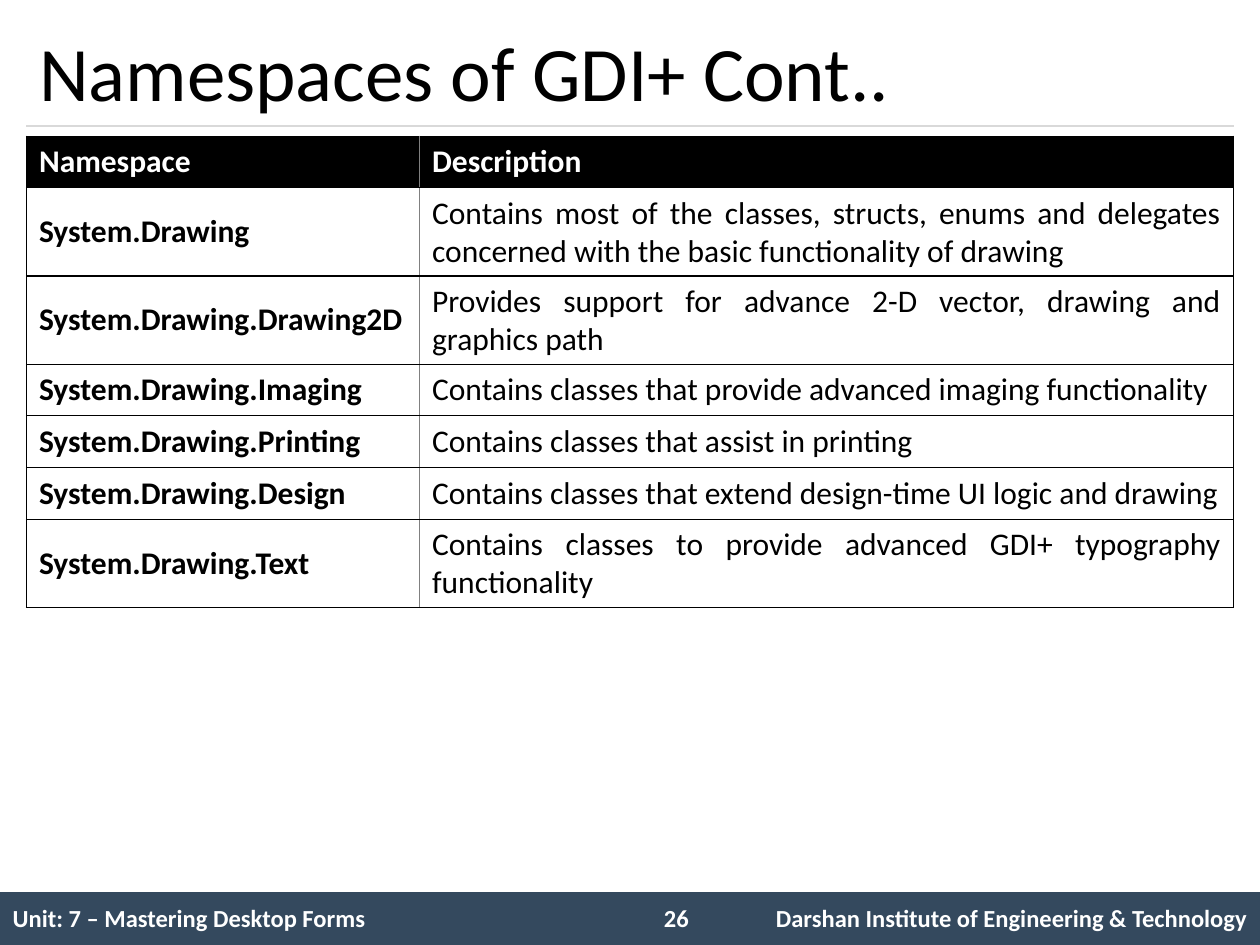
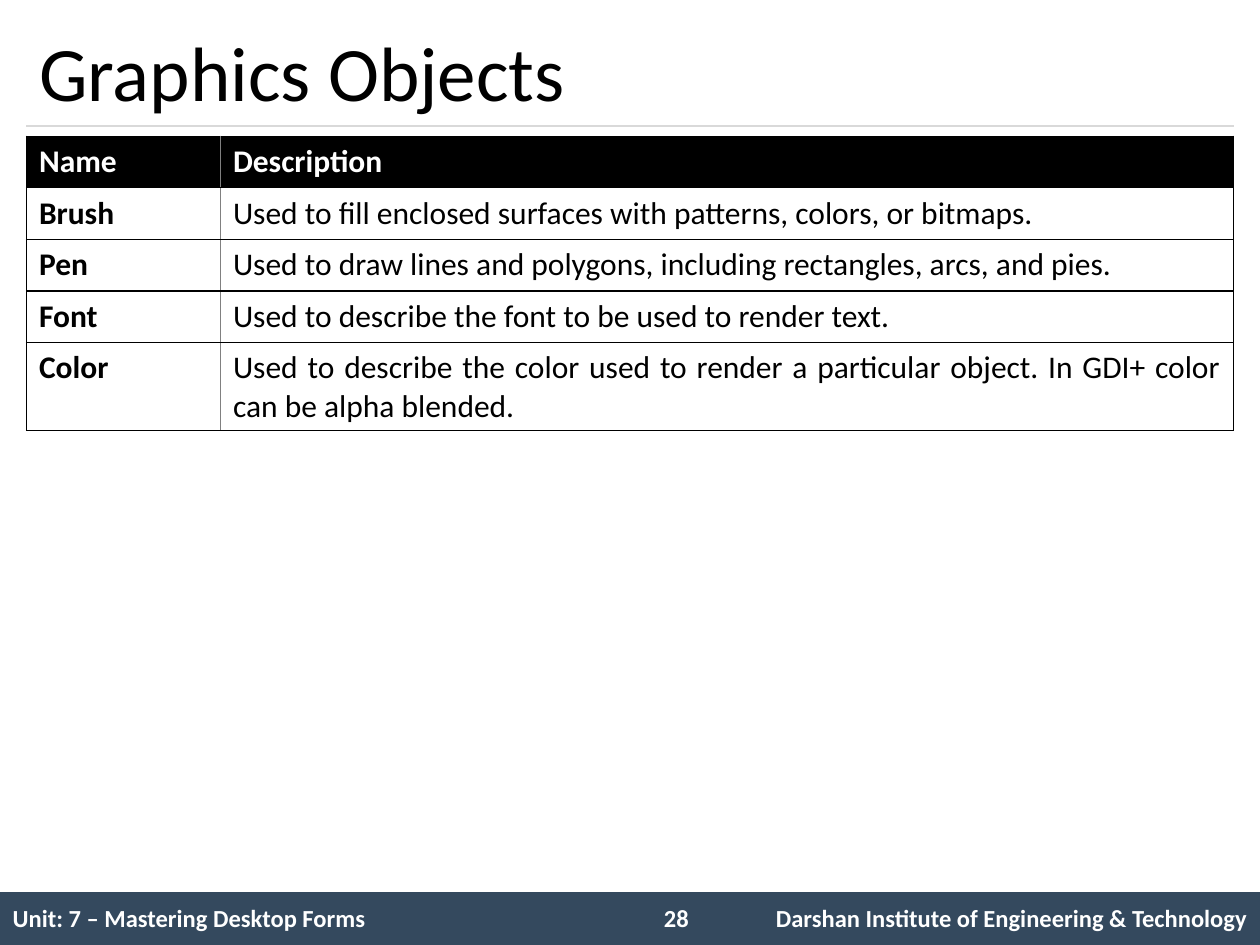
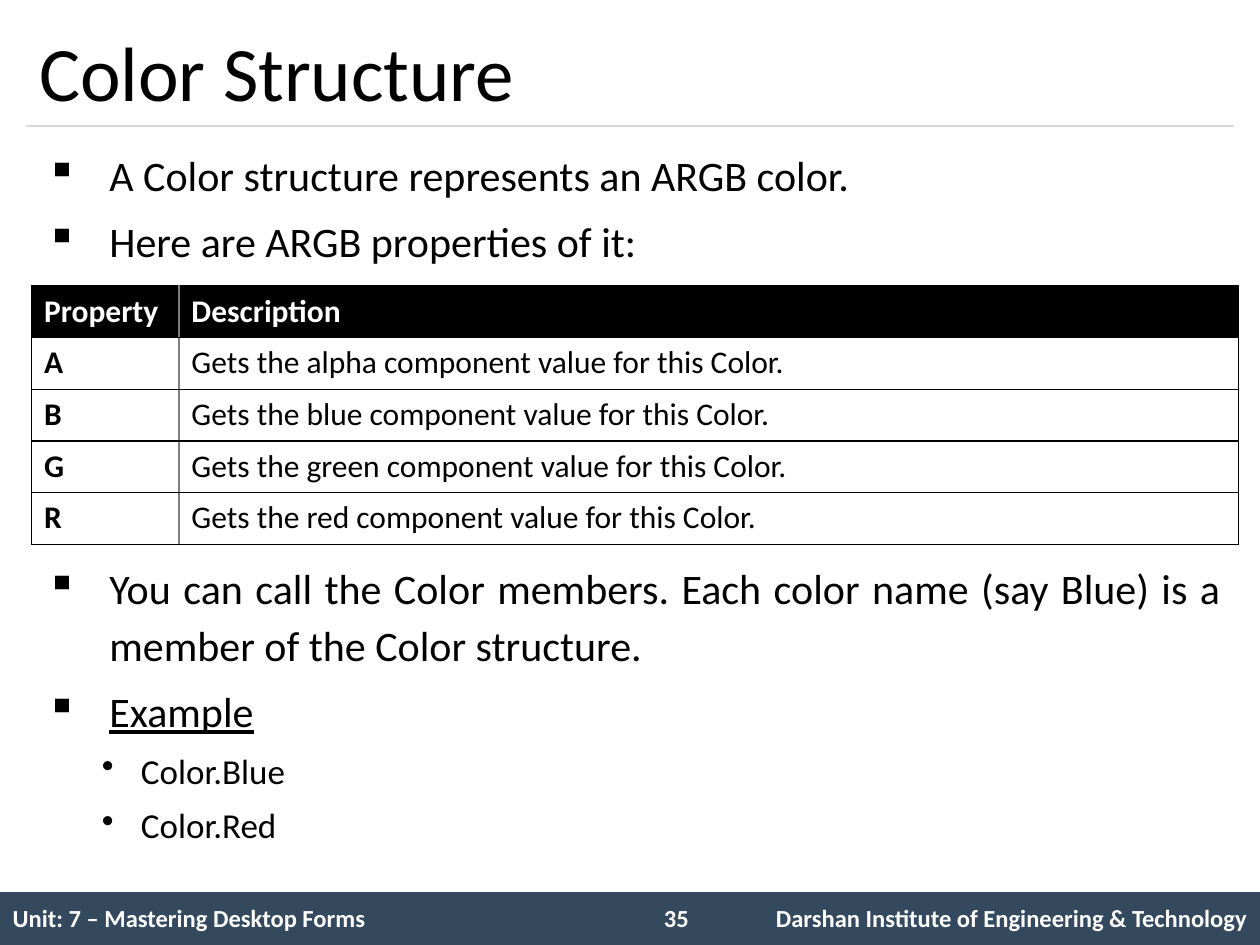
from lxml import etree
from pptx import Presentation
from pptx.dml.color import RGBColor
from pptx.enum.shapes import MSO_CONNECTOR, MSO_SHAPE
from pptx.enum.text import MSO_ANCHOR, PP_ALIGN
from pptx.oxml.ns import qn
from pptx.util import Inches, Pt

FONT = "Calibri"
BLACK = RGBColor(0x00, 0x00, 0x00)
WHITE = RGBColor(0xFF, 0xFF, 0xFF)
GREY = RGBColor(0x80, 0x80, 0x80)
RULE = RGBColor(0xD9, 0xD9, 0xD9)
BAND = RGBColor(0x34, 0x49, 0x5E)
LEFT, RIGHT, JUSTIFY = PP_ALIGN.LEFT, PP_ALIGN.RIGHT, PP_ALIGN.JUSTIFY
TOP, MIDDLE = MSO_ANCHOR.TOP, MSO_ANCHOR.MIDDLE

MARGIN, WIDTH = 0.21, 9.58
ROW_H = 0.41
BAND_TOP = 7.08
UNIT = "Unit: 7 – Mastering Desktop Forms"
INSTITUTE = "Darshan Institute of Engineering & Technology"

# level: (bullet, left margin, indent, size)
LEVELS = [("▪", 0.56, -0.5, 24), ("•", 0.81, -0.31, 20)]

SLIDES = [
    {
        "title": "Namespaces of GDI+ Cont..",
        "number": 26,
        "table": {
            "left": MARGIN, "top": 1.08, "first_col": 3.12, "anchor": MIDDLE,
            "rows": [
                ("Namespace", "Description"),
                ("System.Drawing",
                 "Contains most of the classes, structs, enums and delegates "
                 "concerned with the basic functionality of drawing"),
                ("System.Drawing.Drawing2D",
                 "Provides support for advance 2-D vector, drawing and graphics path"),
                ("System.Drawing.Imaging",
                 "Contains classes that provide advanced imaging functionality"),
                ("System.Drawing.Printing", "Contains classes that assist in printing"),
                ("System.Drawing.Design",
                 "Contains classes that extend design-time UI logic and drawing"),
                ("System.Drawing.Text",
                 "Contains classes to provide advanced GDI+ typography functionality"),
            ],
        },
    },
    {
        "title": "Graphics Objects",
        "number": 28,
        "table": {
            "left": MARGIN, "top": 1.08, "first_col": 1.54, "anchor": TOP,
            "rows": [
                ("Name", "Description"),
                ("Brush", "Used to fill enclosed surfaces with patterns, colors, or bitmaps."),
                ("Pen",
                 "Used to draw lines and polygons, including rectangles, arcs, and pies."),
                ("Font", "Used to describe the font to be used to render text."),
                ("Color",
                 "Used to describe the color used to render a particular object. "
                 "In GDI+ color can be alpha blended."),
            ],
        },
    },
    {
        "title": "Color Structure",
        "number": 35,
        "table": {
            "left": 0.25, "top": 2.27, "first_col": 1.17, "anchor": TOP,
            "rows": [("Property", "Description")] + [
                (name[0].upper(), f"Gets the {name} component value for this Color.")
                for name in ("alpha", "blue", "green", "red")
            ],
        },
        # (top, height, [(level, text, underline)])
        "bullets": [
            (1.08, 1.17, [
                (0, "A Color structure represents an ARGB color.", False),
                (0, "Here are ARGB properties of it:", False),
            ]),
            (4.36, 2.56, [
                (0, "You can call the Color members. Each color name (say Blue) "
                    "is a member of the Color structure.", False),
                (0, "Example", True),
                (1, "Color.Blue", False),
                (1, "Color.Red", False),
            ]),
        ],
    },
]


def write(p, text, size, color, align=LEFT, **formats):
    p.alignment = align
    r = p.add_run()
    r.text = text
    r.font.color.rgb = color
    for name, value in {"name": FONT, "size": Pt(size), **formats}.items():
        setattr(r.font, name, value)


def set_borders(cell, **sides):
    """Draw sides L, R, T, B as (colour, points), or hide those left out."""
    tc_pr = cell._tc.get_or_add_tcPr()
    for side in "LRTB":
        ln = etree.SubElement(tc_pr, qn(f"a:ln{side}"))
        if side in sides:
            color, points = sides[side]
            ln.set("w", str(Pt(points)))
            fill = etree.SubElement(ln, qn("a:solidFill"))
            etree.SubElement(fill, qn("a:srgbClr"), val=str(color))
        else:
            etree.SubElement(ln, qn("a:noFill"))


def add_plain_table(s, left, top, col_widths, row_count, row_height):
    table = s.shapes.add_table(
        row_count, len(col_widths), Inches(left), Inches(top),
        Inches(sum(col_widths)), Inches(row_count * row_height)).table
    table.first_row = table.horz_banding = False
    for column, width in zip(table.columns, col_widths):
        column.width = Inches(width)
    return table


def add_definitions(s, left, top, first_col, anchor, rows):
    table = add_plain_table(s, left, top, (first_col, WIDTH - first_col), len(rows), ROW_H)
    outer, inner = (BLACK, 0.75), (GREY, 1)
    for i, row in enumerate(rows):
        header = i == 0
        for j, text in enumerate(row):
            cell = table.cell(i, j)
            set_borders(cell, L=inner if j else outer, R=outer if j else inner,
                        T=outer, B=outer)
            cell.fill.solid()
            cell.fill.fore_color.rgb = BLACK if header else WHITE
            cell.vertical_anchor = TOP if header else anchor
            write(cell.text_frame.paragraphs[0], text, 18, WHITE if header else BLACK,
                  JUSTIFY if j and not header else LEFT, bold=header or j == 0)


def add_bullets(s, top, height, items):
    tf = s.shapes.add_textbox(Inches(MARGIN), Inches(top),
                              Inches(WIDTH), Inches(height)).text_frame
    tf.word_wrap = True
    for i, (level, text, underline) in enumerate(items):
        bullet, margin, indent, size = LEVELS[level]
        p = tf.add_paragraph() if i else tf.paragraphs[0]
        p.level = level
        p.line_spacing = 1.14
        p.space_before = Pt(0.2 * size if i else 0)
        p_pr = p._p.get_or_add_pPr()
        p_pr.set("marL", str(Inches(margin)))
        p_pr.set("indent", str(Inches(indent)))
        etree.SubElement(p_pr, qn("a:buChar"), char=bullet)
        write(p, text, size, BLACK, JUSTIFY, underline=underline)


def add_footer(s, number):
    band = s.shapes.add_shape(MSO_SHAPE.RECTANGLE, 0, Inches(BAND_TOP),
                              Inches(10), Inches(7.5 - BAND_TOP))
    band.shadow.inherit = False
    band.fill.solid()
    band.fill.fore_color.rgb = BAND
    band.line.fill.background()

    table = add_plain_table(s, 0, BAND_TOP, (5.08, 0.67, 4.25), 1, 0.43)
    for cell, text, align in zip(table.rows[0].cells, (UNIT, "", INSTITUTE),
                                 (LEFT, LEFT, RIGHT)):
        set_borders(cell)
        cell.fill.background()
        cell.vertical_anchor = MIDDLE
        if text:
            write(cell.text_frame.paragraphs[0], text, 14, WHITE, align, bold=True)

    tf = s.shapes.add_textbox(Inches(5.17), Inches(7.12), Inches(0.58), Inches(0.34)).text_frame
    tf.word_wrap = True
    write(tf.paragraphs[0], str(number), 14, WHITE, bold=True)


def add_title(s, text):
    title = s.shapes.title
    title.left, title.top = Inches(MARGIN), Inches(0.12)
    title.width, title.height = Inches(WIDTH), Inches(0.88)
    title.text_frame.vertical_anchor = MIDDLE
    write(title.text_frame.paragraphs[0], text, 44, BLACK)

    rule = s.shapes.add_connector(MSO_CONNECTOR.STRAIGHT, Inches(MARGIN), Inches(1),
                                  Inches(MARGIN + WIDTH), Inches(1))
    rule.line.color.rgb = RULE
    rule.line.width = Pt(0.75)
    etree.SubElement(rule._element.spPr, qn("a:effectLst"))


def main():
    prs = Presentation()
    prs.slide_width, prs.slide_height = Inches(10), Inches(7.5)
    title_only = prs.slide_layouts[5]
    for content in SLIDES:
        s = prs.slides.add_slide(title_only)
        add_footer(s, content["number"])
        add_title(s, content["title"])
        add_definitions(s, **content["table"])
        for block in content.get("bullets", []):
            add_bullets(s, *block)
    prs.save("out.pptx")


if __name__ == "__main__":
    main()
